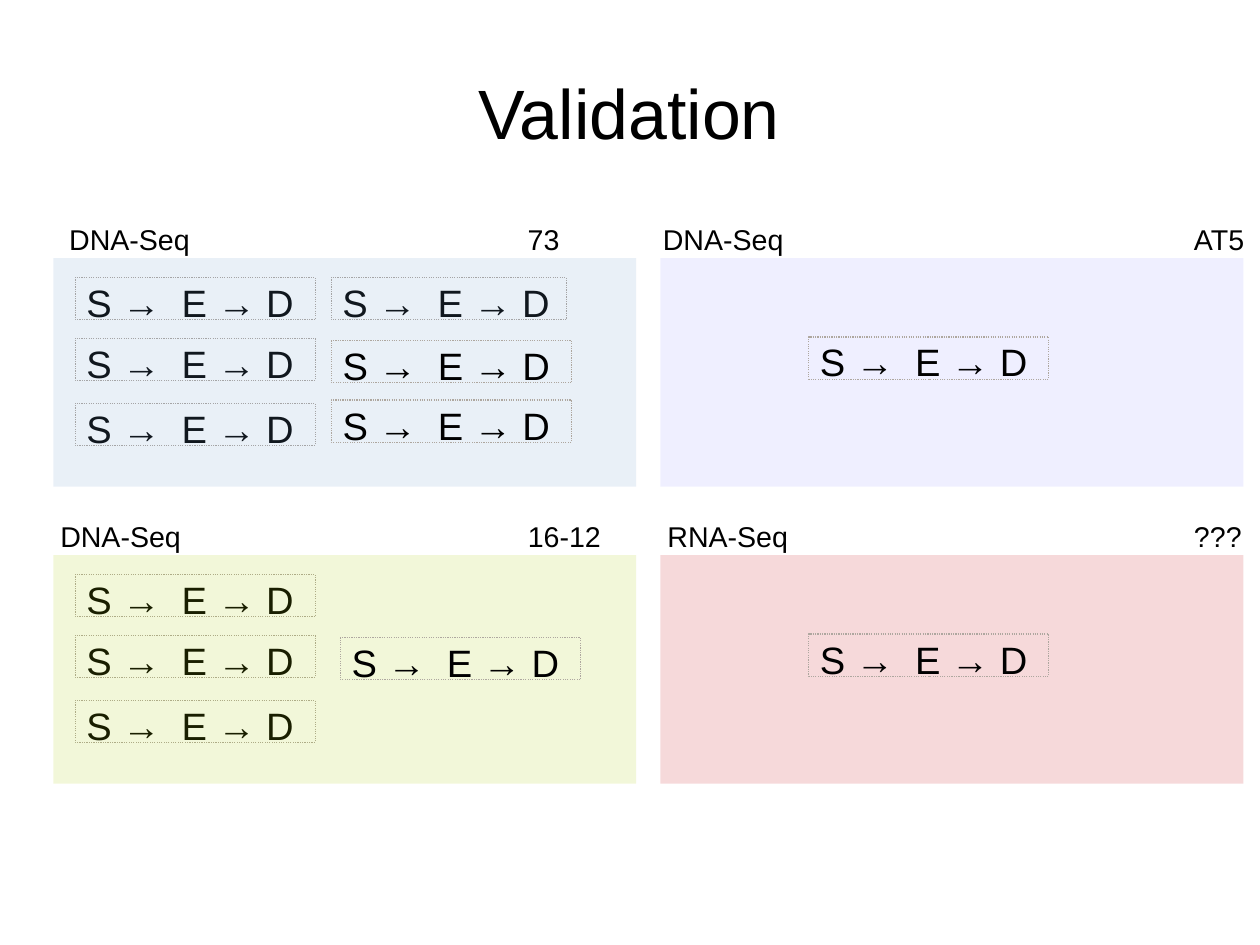
from dataclasses import dataclass

from lxml import etree
from pptx import Presentation
from pptx.dml.color import RGBColor
from pptx.enum.dml import MSO_LINE
from pptx.enum.shapes import MSO_SHAPE
from pptx.enum.text import MSO_ANCHOR, PP_ALIGN
from pptx.oxml.ns import qn
from pptx.util import Pt

RECT = MSO_SHAPE.RECTANGLE
DOTS = MSO_LINE.ROUND_DOT
TOP, MIDDLE = MSO_ANCHOR.TOP, MSO_ANCHOR.MIDDLE
LEFT, CENTER = PP_ALIGN.LEFT, PP_ALIGN.CENTER


@dataclass
class Theme:
    font: str = "Arial"
    ink: str = "000000"
    edge: str = "AEA79F"
    blue: str = "729FCF"
    green: str = "AECF00"
    violet: str = "9999FF"
    red: str = "C5000B"
    tint: int = 15
    head: int = 44
    step: int = 24
    label: int = 18


def write(shape, text, theme, size, align=LEFT, anchor=TOP,
          inset=(7.2, 3.6), wrap=True):
    frame = shape.text_frame
    frame.word_wrap = wrap
    frame.vertical_anchor = anchor
    frame.margin_left = frame.margin_right = Pt(inset[0])
    frame.margin_top = frame.margin_bottom = Pt(inset[1])
    para = frame.paragraphs[0]
    para.alignment = align
    para.line_spacing = 0.94
    run = para.add_run()
    run.text = text
    run.font.name = theme.font
    run.font.size = Pt(size)
    run.font.color.rgb = RGBColor.from_string(theme.ink)


class Board:
    def __init__(self, slide, theme):
        self.slide = slide
        self.theme = theme

    def rect(self, x, y, w, h):
        shape = self.slide.shapes.add_shape(RECT, Pt(x), Pt(y), Pt(w), Pt(h))
        shape.shadow.inherit = False
        return shape

    def text(self, x, y, w, h, words, size, **style):
        box = self.slide.shapes.add_textbox(Pt(x), Pt(y), Pt(w), Pt(h))
        write(box, words, self.theme, size, **style)

    def panel(self, x, y, color):
        shape = self.rect(x, y, PANEL_W, PANEL_H)
        shape.line.fill.background()
        shape.fill.solid()
        shape.fill.fore_color.rgb = RGBColor.from_string(color)
        paint = shape.fill._xPr.find(".//" + qn("a:srgbClr"))
        alpha = etree.SubElement(paint, qn("a:alpha"))
        alpha.set("val", str(self.theme.tint * 1000))

    def chip(self, x, y, w=151.2):
        shape = self.rect(x, y, w, 26.6)
        shape.fill.background()
        shape.line.color.rgb = RGBColor.from_string(self.theme.edge)
        shape.line.width = Pt(0.75)
        shape.line.dash_style = DOTS
        write(shape, "S →  E → D", self.theme, self.theme.step)

    def label(self, x, y, w, words):
        self.text(x, y, w, 28.8, words, self.theme.label, wrap=False)


PANEL_W, PANEL_H = 367.2, 144
COLS, ROWS = (33.6, 416.1), (162.6, 349.7)
STACK = [(13.8, 12.2), (13.8, 50.4), (13.8, 91.4)]
SINGLE = [(93.4, 49.7)]
THEME = Theme()

# column, row, color, chips below the tint, chips above it,
# assay and sample labels as (offset, width, words)
PANELS = [
    (0, 0, THEME.blue, STACK + [(175, 12.2, 148.3)],
     [(175.2, 52), (175.2, 89.4)],
     (2.9, 92, "DNA-Seq"), (291.8, 36, "73")),
    (0, 1, THEME.green, STACK, [(180.9, 52)],
     (-2.7, 92, "DNA-Seq"), (291.8, 62, "16-12")),
    (1, 0, THEME.violet, [], SINGLE,
     (-5.6, 92, "DNA-Seq"), (329, 48, "AT5")),
    (1, 1, THEME.red, [], SINGLE,
     (-2.7, 92, "RNA-Seq"), (329, 46, "???")),
]


def main():
    deck = Presentation()
    deck.slide_width, deck.slide_height = Pt(793.75), Pt(595.25)
    slide = deck.slides.add_slide(deck.slide_layouts[6])
    board = Board(slide, THEME)
    board.text(39.6, 23.8, 713.5, 98.6, "Validation", THEME.head,
               align=CENTER, anchor=MIDDLE, inset=(0, 0))
    for col, row, color, below, above, *labels in PANELS:
        x, y = COLS[col], ROWS[row]
        for dx, dy, *size in below:
            board.chip(x + dx, y + dy, *size)
        board.panel(x, y, color)
        for dx, dy in above:
            board.chip(x + dx, y + dy)
        for dx, width, words in labels:
            board.label(x + dx, y - 24.5, width, words)
    deck.save("out.pptx")


if __name__ == "__main__":
    main()
